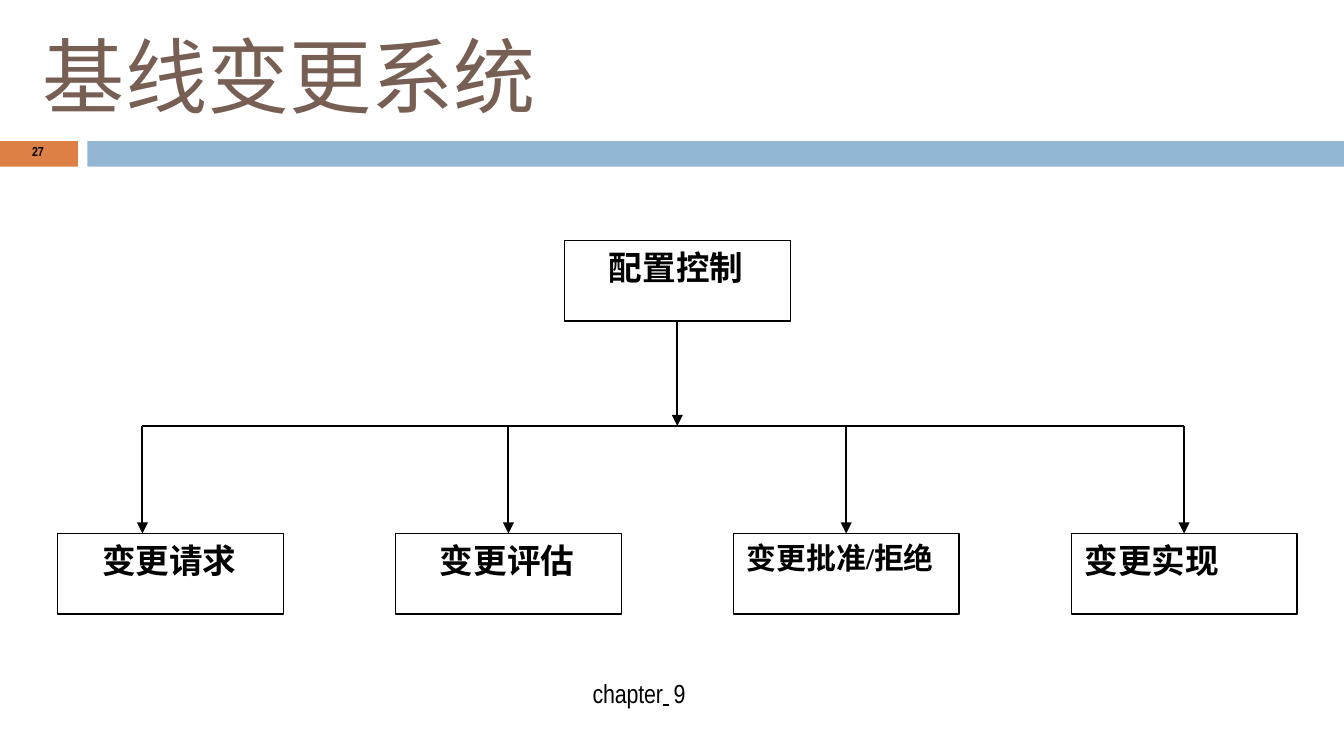
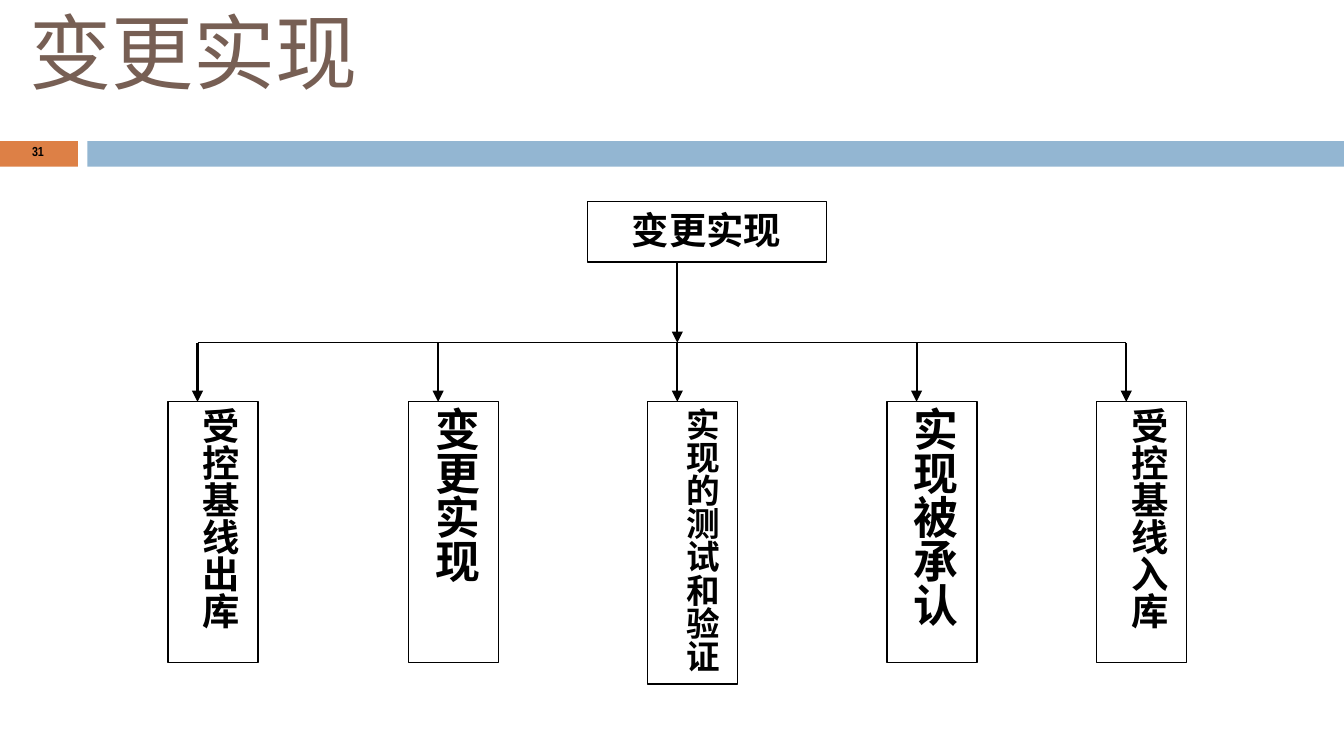
"""Build two slides on baseline change control."""
from pptx import Presentation
from pptx.dml.color import RGBColor
from pptx.enum.shapes import MSO_CONNECTOR, MSO_SHAPE
from pptx.enum.text import MSO_ANCHOR, PP_ALIGN
from pptx.oxml.ns import qn
from pptx.oxml.xmlchemy import OxmlElement
from pptx.util import Inches, Pt

RECT = MSO_SHAPE.RECTANGLE
STRAIGHT = MSO_CONNECTOR.STRAIGHT
TOP = MSO_ANCHOR.TOP
LEFT, JUSTIFY = PP_ALIGN.LEFT, PP_ALIGN.JUSTIFY

COLORS = {"title": "775F54", "tab": "DD8046", "band": "93B6D2", "ink": "000000"}
HAN, NARROW, SERIF = "Noto Sans CJK SC", "Arial Narrow", "Times New Roman"
THIN, THICK = 0.72, 1.1


def color(name):
    """Return a named colour."""
    return RGBColor.from_string(COLORS[name])


def add_run(para, text, size, font=HAN, ink="ink", bold=False, space=0, under=False):
    """Append one formatted run."""
    run = para.add_run()
    run.text = text
    run.font.size = Pt(size)
    run.font.bold = bold
    run.font.underline = under
    run.font.color.rgb = color(ink)
    run.font.name = font
    props = run._r.get_or_add_rPr()
    if space:
        props.set("spc", str(round(space * 100)))
    east = OxmlElement("a:ea")
    east.set("typeface", font)
    props.append(east)


def set_frame(shape, inset, indent, before, align=LEFT, pitch=None):
    """Prepare a text frame and return its paragraph."""
    frame = shape.text_frame
    frame.word_wrap = True
    frame.vertical_anchor = TOP
    frame.margin_left = frame.margin_right = frame.margin_bottom = 0
    frame.margin_top = Inches(inset)
    para = frame.paragraphs[0]
    para.alignment = align
    para.space_before = Pt(before)
    if pitch:
        para.line_spacing = pitch
    props = para._p.get_or_add_pPr()
    props.set("marL", str(Inches(indent)))
    props.set("indent", "0")
    return para


def add_label(slide, box, before):
    """Add a plain text box and return its paragraph."""
    shape = slide.shapes.add_textbox(*map(Inches, box))
    return set_frame(shape, 0.01, 0.01, before)


def add_rect(slide, box, fill=None):
    """Add a filled band or an outlined box."""
    shape = slide.shapes.add_shape(RECT, *map(Inches, box))
    shape.shadow.inherit = False
    if fill:
        shape.fill.solid()
        shape.fill.fore_color.rgb = color(fill)
        shape.line.fill.background()
    else:
        shape.fill.background()
        shape.line.color.rgb = color("ink")
        shape.line.width = Pt(THIN)
    return shape


def add_node(slide, box, runs, indent, before=3.2, inset=0.05, **style):
    """Add an outlined box with bold text."""
    para = set_frame(add_rect(slide, box), inset, indent, before, **style)
    for run in runs:
        add_run(para, bold=True, **run)


def add_line(slide, start, end, width=THIN, arrow=False):
    """Draw a straight line, with an arrowhead at its end if asked."""
    line = slide.shapes.add_connector(STRAIGHT, *map(Inches, start + end))
    line.line.color.rgb = color("ink")
    line.line.width = Pt(width)
    props = line._element.spPr
    if arrow:
        head = OxmlElement("a:tailEnd")
        for key, value in (("type", "triangle"), ("w", "med"), ("len", "med")):
            head.set(key, value)
        props.find(qn("a:ln")).append(head)
    props.append(OxmlElement("a:effectLst"))


def add_tree(slide, stem, top, bar, base, drops):
    """Link a parent box to its children by a stem, a bar and drops."""
    add_line(slide, (drops[0], bar), (drops[-1], bar))
    add_line(slide, (stem, top), (stem, bar), THICK, True)
    for drop in drops:
        add_line(slide, (drop, bar), (drop, base), THICK, True)


def add_page(deck, title, box, number):
    """Add a slide with the shared bands, title and page number."""
    slide = deck.slides.add_slide(deck.slide_layouts[6])
    add_rect(slide, (0, 1.05, 0.58, 0.19), "tab")
    add_rect(slide, (0.65, 1.05, 9.35, 0.19), "band")
    add_run(add_label(slide, box, 1.1), title, 44, ink="title")
    para = add_label(slide, (0.23, 1.06, 0.11, 0.14), 0.9)
    add_run(para, number, 7, NARROW, bold=True, space=-0.1)
    return slide


def add_system(deck):
    """Build the slide on the baseline change system."""
    slide = add_page(deck, "基线变更系统", (0.31, 0.18, 3.7, 0.76), "27")
    foot = add_label(slide, (4.4, 5.03, 0.82, 0.26), 1)
    add_run(foot, "chapter", 14, NARROW, space=-0.1)
    add_run(foot, " ", 14, NARROW, space=2.5, under=True)
    add_run(foot, "9", 14, NARROW)

    wide, high, base = 1.68, 0.6, 3.97
    add_node(slide, (4.2, 1.79, wide, high), [dict(text="配置控制", size=18)], 0.33)
    verdict = [
        dict(text="变更批", size=16),
        dict(text="准", size=16, space=-0.1),
        dict(text="/", size=16, font=SERIF, space=-0.1),
        dict(text="拒绝", size=16, space=-0.1),
    ]
    steps = [
        ([dict(text="变更请求", size=18)], 0.33),
        ([dict(text="变更评估", size=18)], 0.33),
        (verdict, 0.1),
        ([dict(text="变更实现", size=18)], 0.1),
    ]
    first, last = 0.43, 7.97
    gap = (last - first) / (len(steps) - 1)
    lefts = [first + gap * i for i in range(len(steps))]
    for left, (runs, indent) in zip(lefts, steps):
        add_node(slide, (left, base, wide, high), runs, indent)
    drops = [1.06] + [left + wide / 2 for left in lefts[1:]]
    add_tree(slide, 5.04, 2.38, 3.17, base, drops)


def add_change(deck):
    """Build the slide on carrying out a change."""
    slide = add_page(deck, "变更实现", (0.21, 0, 2.48, 0.76), "31")
    add_node(slide, (4.37, 1.5, 1.78, 0.45), [dict(text="变更实现", size=20)],
             0.33, 3.1, 0.04)
    base = 2.99
    styles = {
        18: dict(indent=0.29, before=4.9, pitch=0.82),
        20: dict(indent=0.26, before=5, pitch=Pt(19.8)),
        24: dict(indent=0.2, before=5.3, pitch=0.82),
    }
    steps = [
        (1.25, 1.94, "受控基线出库", 20),
        (3.04, 1.94, "变更实现", 24),
        (4.82, 2.1, "实现的测试和验证", 18),
        (6.6, 1.94, "实现被承认", 24),
        (8.16, 1.94, "受控基线入库", 20),
    ]
    for left, high, text, size in steps:
        run = dict(text=" ".join(text), size=size, space=-0.1)
        add_node(slide, (left, base, 0.67, high), [run], inset=0.07,
                 align=JUSTIFY, **styles[size])
    add_tree(slide, 5.04, 1.95, 2.55, base, [step[0] + 0.22 for step in steps])


def main():
    """Build and save the deck."""
    deck = Presentation()
    deck.slide_width = Inches(10)
    deck.slide_height = deck.slide_width * 9 // 16
    add_system(deck)
    add_change(deck)
    deck.save("out.pptx")


if __name__ == "__main__":
    main()
